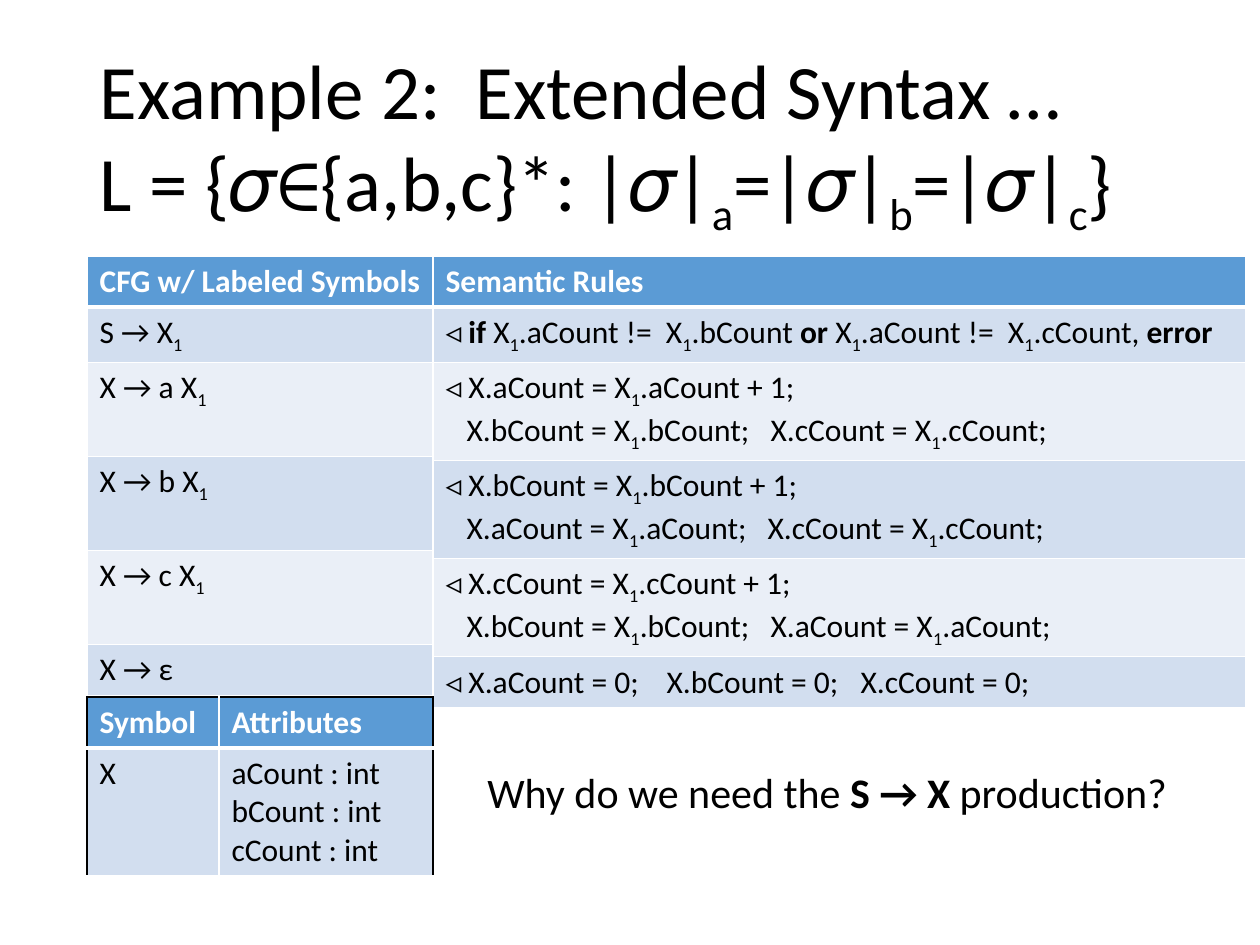
import lxml.etree
import pptx
import pptx.dml.color
import pptx.enum.text
import pptx.oxml.ns
import pptx.util

SCALE = 914400 // 126
COLORS = {"header": "5B9BD5", "odd": "D2DEEF", "even": "EAEFF7",
          "white": "FFFFFF", "black": "000000"}


def px(length):
    """Turn pixels into EMU."""
    return pptx.util.Emu(length * SCALE)


def rgb(name):
    """Look up a named colour."""
    return pptx.dml.color.RGBColor.from_string(COLORS[name])


def sub(parent, tag, **attributes):
    """Append a DrawingML element."""
    values = {key: str(value) for key, value in attributes.items()}
    return lxml.etree.SubElement(parent, pptx.oxml.ns.qn("a:" + tag), values)


def write(frame, text, size=18, color="black", bold=False, spacing=None, tabs=()):
    """Write text; ^ toggles bold, ~ toggles subscript, \\v breaks a line."""
    for number, content in enumerate(text.split("\n")):
        para = frame.paragraphs[0] if number == 0 else frame.add_paragraph()
        para.alignment = pptx.enum.text.PP_ALIGN.LEFT
        if spacing:
            para.line_spacing = spacing
        if tabs:
            stops = sub(para._p.get_or_add_pPr(), "tabLst")
            for stop in tabs:
                sub(stops, "tab", pos=px(stop), algn="l")
        for line_number, line in enumerate(content.split("\v")):
            if line_number:
                para.add_line_break()
            for strong, part in enumerate(line.split("^")):
                for lowered, piece in enumerate(part.split("~")):
                    if not piece:
                        continue
                    span = para.add_run()
                    span.text = piece
                    span.font.name = "Calibri"
                    span.font.size = pptx.util.Pt(size)
                    span.font.bold = bold or strong % 2 == 1
                    span.font.color.rgb = rgb(color)
                    if lowered % 2:
                        span.font._element.set("baseline", "-25000")


class Page:
    """The current slide and its style."""

    def __init__(self, deck):
        """Add a slide that has only a title."""
        self.slide = deck.slides.add_slide(deck.slide_layouts[5])

    def title(self, text, at):
        """Move and fill the title placeholder."""
        box = self.slide.shapes.title
        box.left, box.top, box.width, box.height = map(px, at)
        box.text_frame.vertical_anchor = pptx.enum.text.MSO_ANCHOR.MIDDLE
        write(box.text_frame, text, size=44, spacing=0.9)

    def text(self, text, at, **style):
        """Add a text box on one line."""
        frame = self.slide.shapes.add_textbox(*map(px, at)).text_frame
        frame.word_wrap = False
        write(frame, text, **style)

    def border(self, cell, side, color, points):
        """Draw one side of a cell."""
        line = sub(cell._tc.get_or_add_tcPr(), "ln" + side, w=pptx.util.Pt(points))
        sub(sub(line, "solidFill"), "srgbClr", val=COLORS[color])

    def table(self, rows, left, top, widths, heights, outline="white", tabs=None):
        """Add a banded table; tabs maps a row number to its tab stops."""
        tabs = tabs or {}
        table = self.slide.shapes.add_table(
            len(rows), len(widths), px(left), px(top),
            px(sum(widths)), px(sum(heights))).table
        for column, width in zip(table.columns, widths):
            column.width = px(width)
        for r, (row, height) in enumerate(zip(rows, heights)):
            table.rows[r].height = px(height)
            for c, text in enumerate(row):
                cell = table.cell(r, c)
                self.border(cell, "L", "white" if c else outline, 1)
                self.border(cell, "R", outline if c == len(row) - 1 else "white", 1)
                self.border(cell, "T", "white" if r else outline, 3 if r == 1 else 1)
                self.border(cell, "B", "white", 1 if r else 3)
                cell.fill.solid()
                band = "odd" if r % 2 else "even"
                cell.fill.fore_color.rgb = rgb(band if r else "header")
                write(cell.text_frame, text, bold=r == 0,
                      color="black" if r else "white", tabs=tabs.get(r, ()))


def count_rule(first, second, third):
    """Word the rule that adds one to the first count."""
    copies = [f"\tX.{name}Count = X~1~.{name}Count;" for name in (second, third)]
    return f"◃ X.{first}Count = X~1~.{first}Count + 1;\n" + "".join(copies)


def main():
    """Build the deck."""
    deck = pptx.Presentation()
    deck.slide_width, deck.slide_height = px(1260), px(945)
    page = Page(deck)
    page.title("Example 2:  Extended Syntax …\v"
               "L = {𝜎∈{a,b,c}*: |𝜎|~a~=|𝜎|~b~=|𝜎|~c~}", (87, 50, 1086, 183))

    left, middle, top = 87, 433, 256
    symbols = ["CFG w/ Labeled Symbols", "S → X~1~",
               *(f"X → {letter} X~1~" for letter in "abc"), "X → ε"]
    page.table([[text] for text in symbols], left, top, [middle - left],
               [51, 55, 94, 94, 94, 51])

    rules = ["Semantic Rules",
             "◃ ^if ^X~1~.aCount !=  X~1~.bCount ^or^ X~1~.aCount !=  X~1~.cCount, ^error^",
             *(count_rule(*names) for names in ("abc", "bac", "cba")),
             "◃ X.aCount = 0;\tX.bCount = 0;\tX.cCount = 0;"]
    stops = {2: (21, 325), 3: (21, 322), 4: (21, 325), 5: (221, 415)}
    page.table([[text] for text in rules], middle, top, [813],
               [51, 55, 98, 98, 98, 51], tabs=stops)

    attributes = "\n".join(f"{letter}Count : int" for letter in "abc")
    page.table([["Symbol", "Attributes"], ["X", attributes]], left, 697,
               [132, 214], [51, 127], outline="black")
    page.text("Why do we need the ^S → X ^production?", (475, 760, 707, 63), size=24)
    deck.save("out.pptx")


main()
